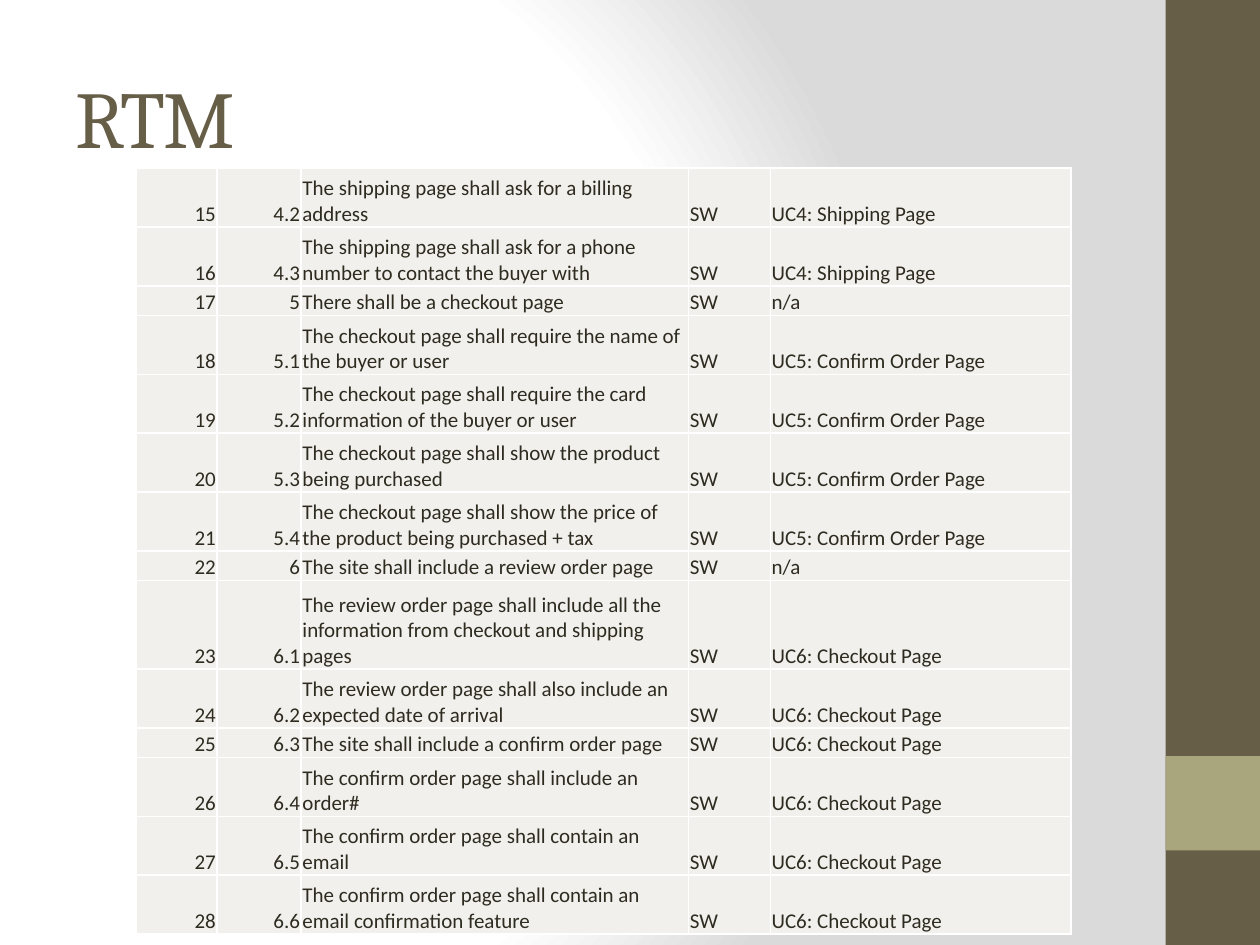
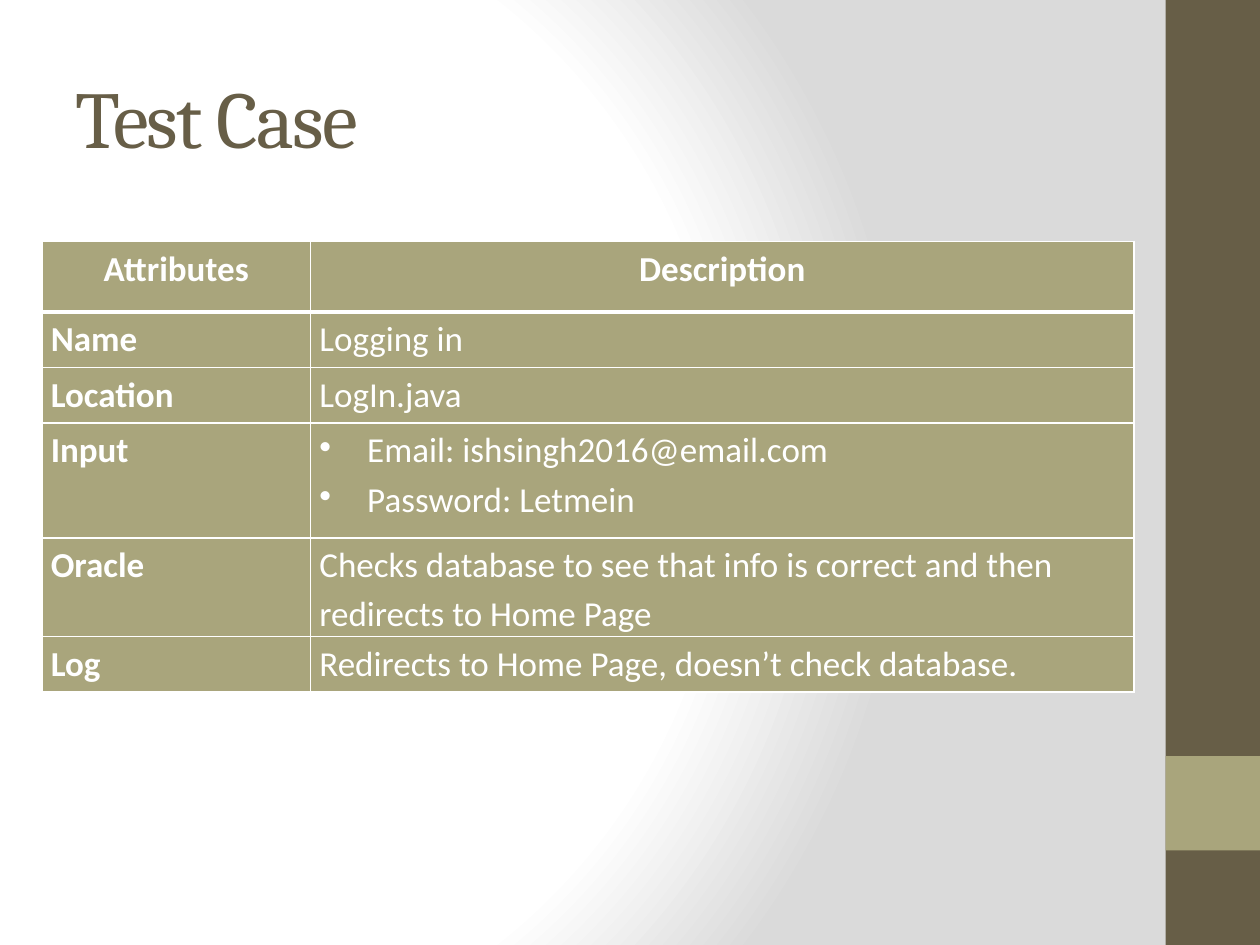
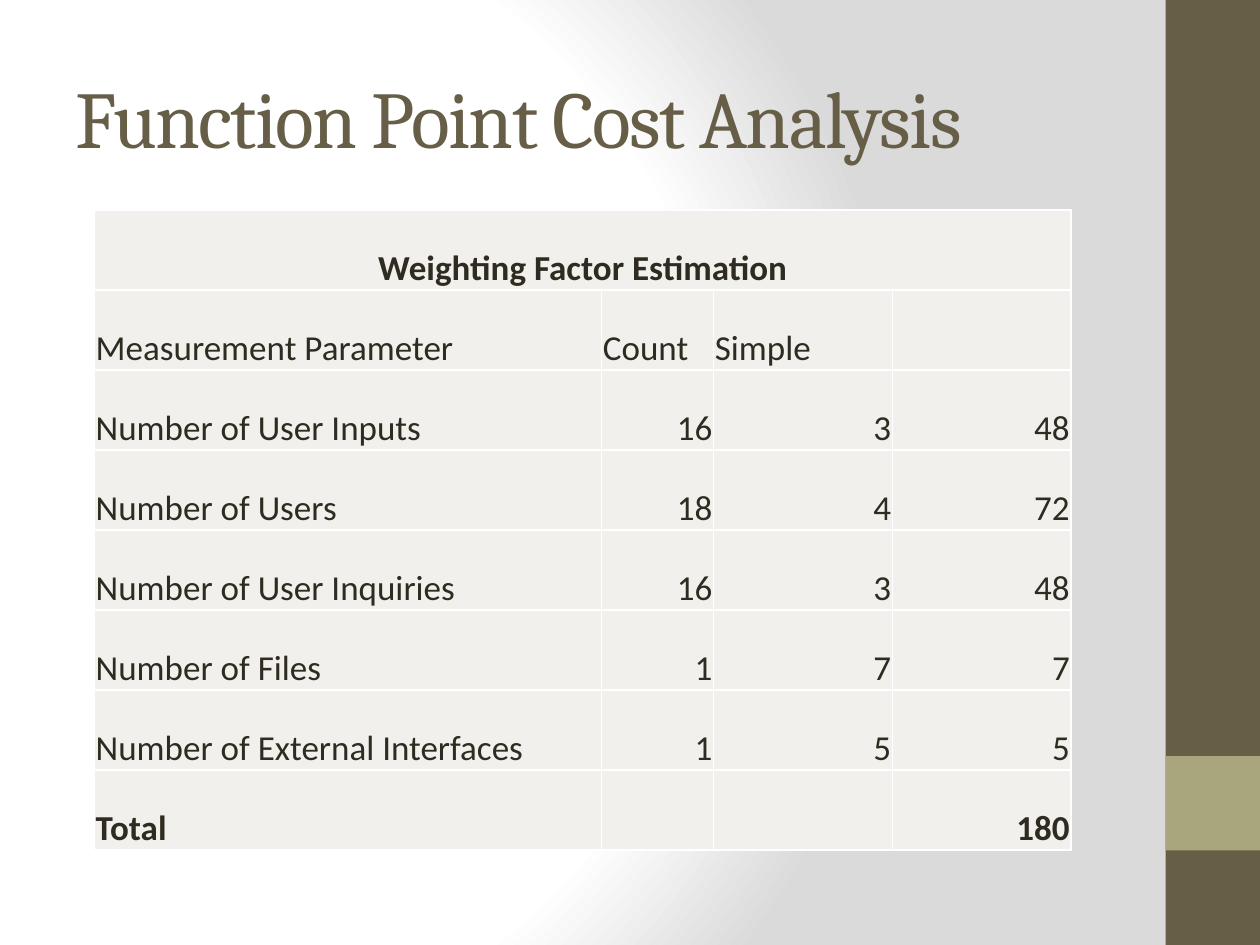
import dataclasses
import typing

import lxml.etree
import pptx
import pptx.dml.color
import pptx.enum.shapes
import pptx.enum.text
import pptx.oxml
import pptx.oxml.ns
import pptx.util

ALIGN = pptx.enum.text.PP_ALIGN
ANCHOR = pptx.enum.text.MSO_ANCHOR
GRID_UNIT = pptx.util.Inches(10) / 120
CellText = typing.Union[str, tuple[str, ...]]


@dataclasses.dataclass(frozen=True)
class Theme:
    brown: str = "675E47"
    olive: str = "A9A57C"
    pale: str = "F1F0EC"
    ink: str = "2F2B20"
    white: str = "FFFFFF"
    grey: str = "DADADA"
    heading_font: str = "Cambria"
    body_font: str = "Calibri"
    title_size: int = 46
    table_size: int = 20
    small_size: int = 12
    border: int = 1
    header_border: int = 3


THEME = Theme()


class Frame(typing.NamedTuple):
    column: float
    row: float
    columns: float
    rows: float

    def lengths(self) -> tuple[int, ...]:
        return tuple(round(value * GRID_UNIT) for value in self)


class Band(typing.NamedTuple):
    frame: Frame
    color: str


@dataclasses.dataclass(frozen=True)
class TableStyle:
    fill: str
    color: str
    size: int
    anchor: ANCHOR
    insets: tuple[float, float, float, float]
    line_spacing: float = 1.0
    header_border: int = THEME.border


@dataclasses.dataclass(frozen=True)
class TableSlide:
    title: str
    frame: Frame
    column_shares: tuple[float, ...]
    row_shares: tuple[float, ...]
    rows: tuple[tuple[CellText, ...], ...]
    style: TableStyle
    bold_rows: tuple[int, ...] = ()
    bold_columns: tuple[int, ...] = ()
    centered_rows: tuple[int, ...] = ()
    merged_header: bool = False


TITLE_FRAME = Frame(6, 3.6, 100, 15)
BANDS = (
    Band(Frame(111, 0, 9, 90), THEME.brown),
    Band(Frame(111, 72, 9, 9), THEME.olive),
)
SHEET_INSETS = (0.01, 0.01, 0.01, 0)
REQUIREMENT_STYLE = TableStyle(THEME.pale, THEME.ink, THEME.small_size, ANCHOR.BOTTOM, SHEET_INSETS)
ESTIMATE_STYLE = dataclasses.replace(REQUIREMENT_STYLE, size=THEME.table_size)
TEST_STYLE = TableStyle(
    THEME.olive, THEME.white, THEME.table_size, ANCHOR.TOP, (0.07, 0, 0.07, 0),
    line_spacing=1.15, header_border=THEME.header_border,
)

SHIPPING = "UC4: Shipping Page"
CONFIRM = "UC5: Confirm Order Page"
CHECKOUT = "UC6: Checkout Page"
REQUIREMENTS = (
    ("4.2", "The shipping page shall ask for a billing address", SHIPPING),
    ("4.3", "The shipping page shall ask for a phone number to contact the buyer with", SHIPPING),
    ("5", "There shall be a checkout page", "n/a"),
    ("5.1", "The checkout page shall require the name of the buyer or user", CONFIRM),
    ("5.2", "The checkout page shall require the card information of the buyer or user", CONFIRM),
    ("5.3", "The checkout page shall show the product being purchased", CONFIRM),
    ("5.4", "The checkout page shall show the price of the product being purchased + tax", CONFIRM),
    ("6", "The site shall include a review order page", "n/a"),
    ("6.1", "The review order page shall include all the information from checkout and shipping pages", CHECKOUT),
    ("6.2", "The review order page shall also include an expected date of arrival", CHECKOUT),
    ("6.3", "The site shall include a confirm order page", CHECKOUT),
    ("6.4", "The confirm order page shall include an order#", CHECKOUT),
    ("6.5", "The confirm order page shall contain an email", CHECKOUT),
    ("6.6", "The confirm order page shall contain an email confirmation feature", CHECKOUT),
)

TABLE_SLIDES = (
    TableSlide(
        title="RTM",
        frame=Frame(13, 16, 89, 73),
        column_shares=(0.64, 0.67, 3.08, 0.65, 2.39),
        row_shares=(2, 2, 1, 2, 2, 2, 2, 1, 3, 2, 1, 2, 2, 2),
        rows=tuple(
            (str(number), section, requirement, "SW", use_case)
            for number, (section, requirement, use_case) in enumerate(REQUIREMENTS, start=15)
        ),
        style=REQUIREMENT_STYLE,
    ),
    TableSlide(
        title="Test Case",
        frame=Frame(4, 23, 104, 42.9),
        column_shares=(2.13, 6.53),
        row_shares=(0.56, 0.44, 0.44, 0.91, 0.78, 0.44),
        rows=(
            ("Attributes", "Description"),
            ("Name", "Logging in"),
            ("Location", "LogIn.java"),
            ("Input", ("Email: ishsingh2016@email.com", "Password: Letmein")),
            ("Oracle", "Checks database to see that info is correct and then redirects to Home Page"),
            ("Log", "Redirects to Home Page, doesn’t check database."),
        ),
        style=TEST_STYLE,
        bold_rows=(0,),
        bold_columns=(0,),
        centered_rows=(0,),
    ),
    TableSlide(
        title="Function Point Cost Analysis",
        frame=Frame(9, 20, 93, 61),
        column_shares=(4.03, 0.89, 1.42, 1.42),
        row_shares=(1,) * 8,
        rows=(
            ("Weighting Factor Estimation", "", "", ""),
            ("Measurement Parameter", "Count", "Simple", ""),
            ("Number of User Inputs", "16", "3", "48"),
            ("Number of Users", "18", "4", "72"),
            ("Number of User Inquiries", "16", "3", "48"),
            ("Number of Files", "1", "7", "7"),
            ("Number of External Interfaces", "1", "5", "5"),
            ("Total", "", "", "180"),
        ),
        style=ESTIMATE_STYLE,
        bold_rows=(0, 7),
        centered_rows=(0,),
        merged_header=True,
    ),
)


def rgb(color: str) -> pptx.dml.color.RGBColor:
    return pptx.dml.color.RGBColor.from_string(color)


def write_text(paragraph, text: str, *, font: str, size: int, color: str, bold: bool = False,
               align: ALIGN = ALIGN.LEFT, line_spacing: float = 1.0, tracking: int = 0) -> None:
    paragraph.alignment = align
    paragraph.line_spacing = line_spacing
    run = paragraph.add_run()
    run.text = text
    run.font.name = font
    run.font.size = pptx.util.Pt(size)
    run.font.bold = bold
    run.font.color.rgb = rgb(color)
    if tracking:
        run.font._element.set("spc", str(tracking * 100))


def add_bullet(paragraph) -> None:
    indent = pptx.util.Inches(0.38)
    properties = paragraph._p.get_or_add_pPr()
    properties.set("marL", str(indent))
    properties.set("indent", str(-indent))
    bullet = lxml.etree.SubElement(properties, pptx.oxml.ns.qn("a:buChar"))
    bullet.set("char", "•")


def set_borders(cell, top: int, bottom: int) -> None:
    widths = {"L": THEME.border, "R": THEME.border, "T": top, "B": bottom}
    properties = cell._tc.get_or_add_tcPr()
    for position, (side, width) in enumerate(widths.items()):
        properties.insert(position, pptx.oxml.parse_xml(
            f'<a:ln{side} {pptx.oxml.ns.nsdecls("a")} w="{pptx.util.Pt(width)}">'
            f'<a:solidFill><a:srgbClr val="{THEME.white}"/></a:solidFill></a:ln{side}>'
        ))


def set_background(layout) -> None:
    stops = ((0, THEME.white), (75, THEME.white), (100, THEME.grey))
    stop_list = "".join(
        f'<a:gs pos="{position * 1000}"><a:srgbClr val="{color}"/></a:gs>' for position, color in stops
    )
    layout.element.cSld.insert(0, pptx.oxml.parse_xml(
        f'<p:bg {pptx.oxml.ns.nsdecls("p", "a")}><p:bgPr><a:gradFill rotWithShape="1">'
        f'<a:gsLst>{stop_list}</a:gsLst><a:path path="circle">'
        '<a:fillToRect l="20000" t="50000" r="100000" b="50000"/></a:path>'
        '</a:gradFill><a:effectLst/></p:bgPr></p:bg>'
    ))


def move_bands_to_layout(slide, layout) -> None:
    for band in BANDS:
        shape = slide.shapes.add_shape(pptx.enum.shapes.MSO_SHAPE.RECTANGLE, *band.frame.lengths())
        shape.shadow.inherit = False
        shape.fill.solid()
        shape.fill.fore_color.rgb = rgb(band.color)
        shape.line.fill.background()
        layout.shapes.element.append(shape.element)


def add_title(slide, text: str) -> None:
    title = slide.shapes.title
    title.left, title.top, title.width, title.height = TITLE_FRAME.lengths()
    title.text_frame.auto_size = pptx.enum.text.MSO_AUTO_SIZE.NONE
    title.text_frame.vertical_anchor = ANCHOR.MIDDLE
    write_text(title.text_frame.paragraphs[0], text, font=THEME.heading_font,
               size=THEME.title_size, color=THEME.brown, tracking=-1)


def fill_cell(cell, content: CellText, style: TableStyle, bold: bool, centered: bool) -> None:
    cell.fill.solid()
    cell.fill.fore_color.rgb = rgb(style.fill)
    cell.vertical_anchor = style.anchor
    cell.margin_left, cell.margin_top, cell.margin_right, cell.margin_bottom = map(
        pptx.util.Inches, style.insets)
    bulleted = isinstance(content, tuple)
    lines = content if bulleted else (content,)
    for index, line in enumerate(lines):
        if not line:
            continue
        paragraph = cell.text_frame.add_paragraph() if index else cell.text_frame.paragraphs[0]
        numeric = line.replace(".", "").isdigit()
        align = ALIGN.CENTER if centered else ALIGN.RIGHT if numeric else ALIGN.LEFT
        write_text(paragraph, line, font=THEME.body_font, size=style.size, color=style.color,
                   bold=bold, align=align, line_spacing=style.line_spacing)
        if bulleted:
            add_bullet(paragraph)


def add_table(slide, content: TableSlide) -> None:
    left, top, width, height = content.frame.lengths()
    table = slide.shapes.add_table(
        len(content.rows), len(content.column_shares), left, top, width, height).table
    table.first_row = False
    table.horz_banding = False
    for column, share in zip(table.columns, content.column_shares):
        column.width = round(width * share / sum(content.column_shares))
    for row, share in zip(table.rows, content.row_shares):
        row.height = round(height * share / sum(content.row_shares))
    for row_index, texts in enumerate(content.rows):
        for column_index, text in enumerate(texts):
            cell = table.cell(row_index, column_index)
            bold = row_index in content.bold_rows or column_index in content.bold_columns
            fill_cell(cell, text, content.style, bold, row_index in content.centered_rows)
            header_border = content.style.header_border
            set_borders(cell,
                        top=header_border if row_index == 1 else THEME.border,
                        bottom=header_border if row_index == 0 else THEME.border)
    if content.merged_header:
        table.cell(0, 0).merge(table.cell(0, len(content.column_shares) - 1))


def main() -> None:
    presentation = pptx.Presentation()
    presentation.slide_width = pptx.util.Inches(10)
    presentation.slide_height = pptx.util.Inches(7.5)
    layout = presentation.slide_layouts.get_by_name("Title Only")
    set_background(layout)
    for content in TABLE_SLIDES:
        slide = presentation.slides.add_slide(layout)
        add_title(slide, content.title)
        add_table(slide, content)
    move_bands_to_layout(presentation.slides[0], layout)
    presentation.save("out.pptx")


if __name__ == "__main__":
    main()
